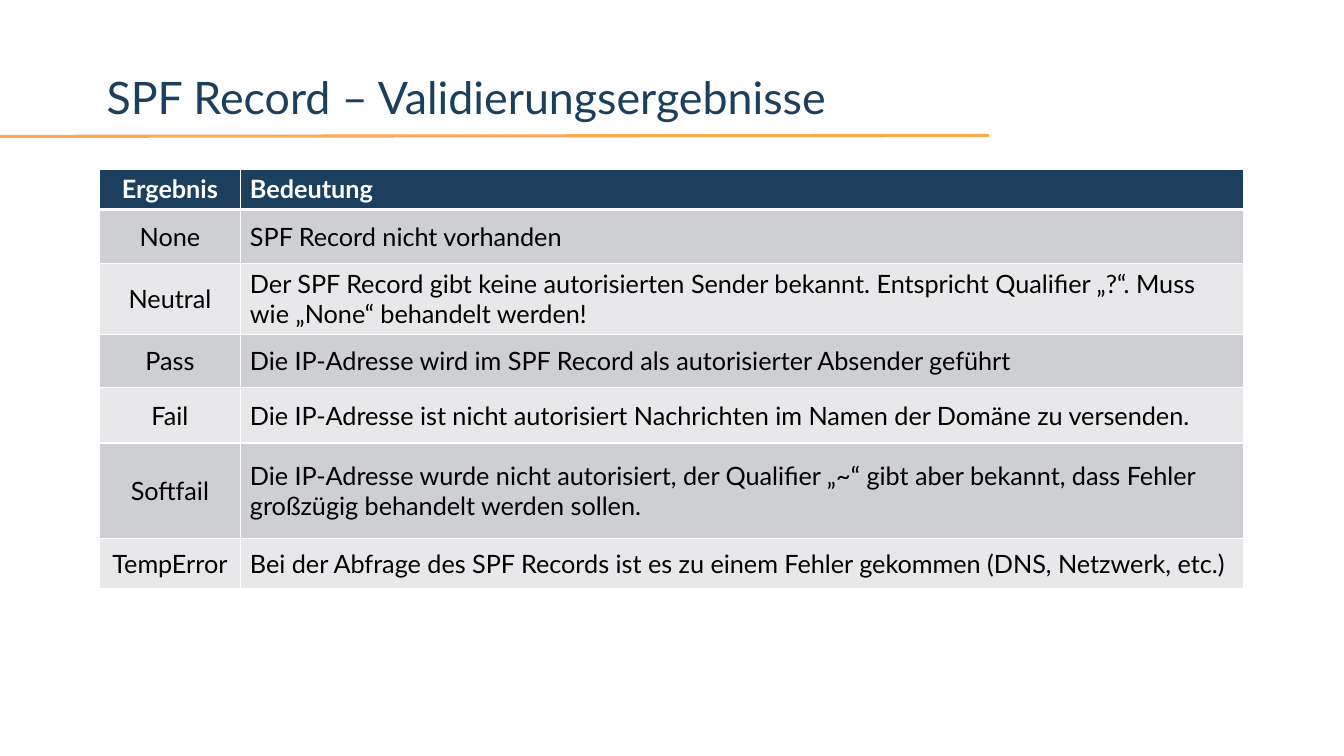
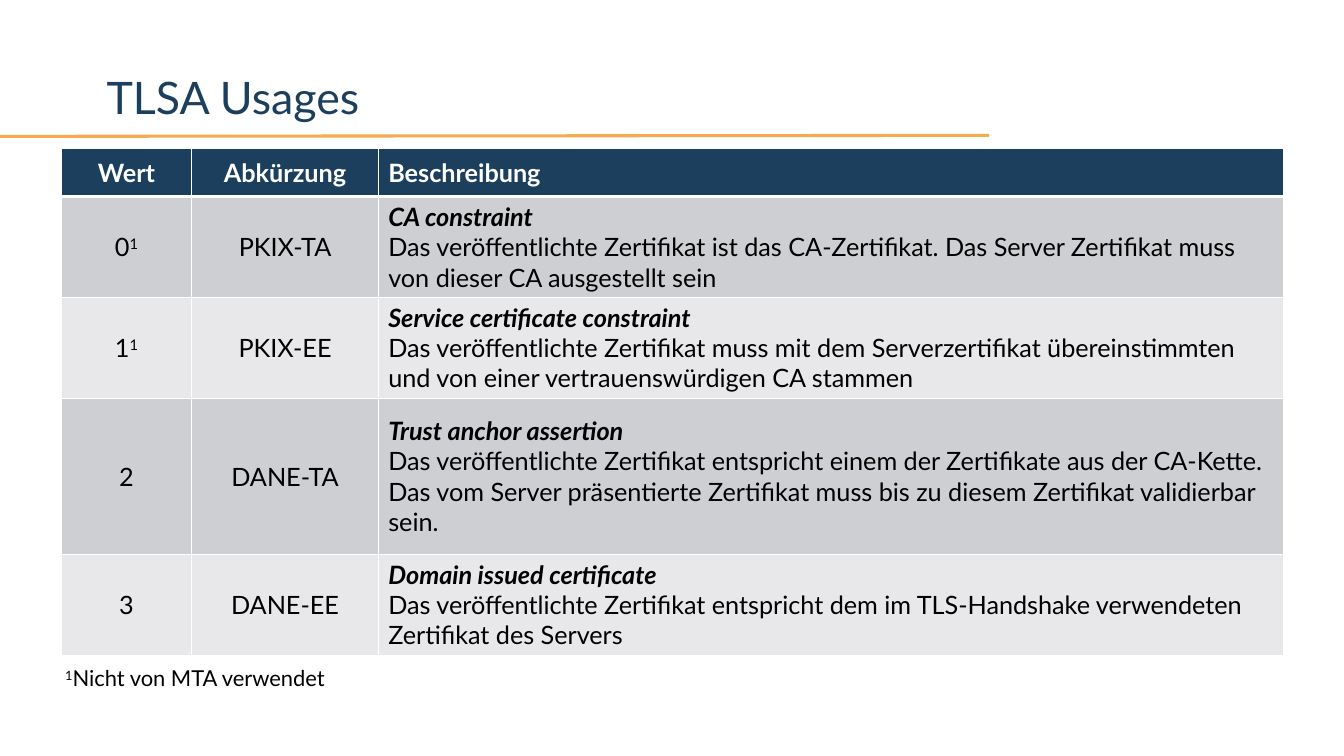
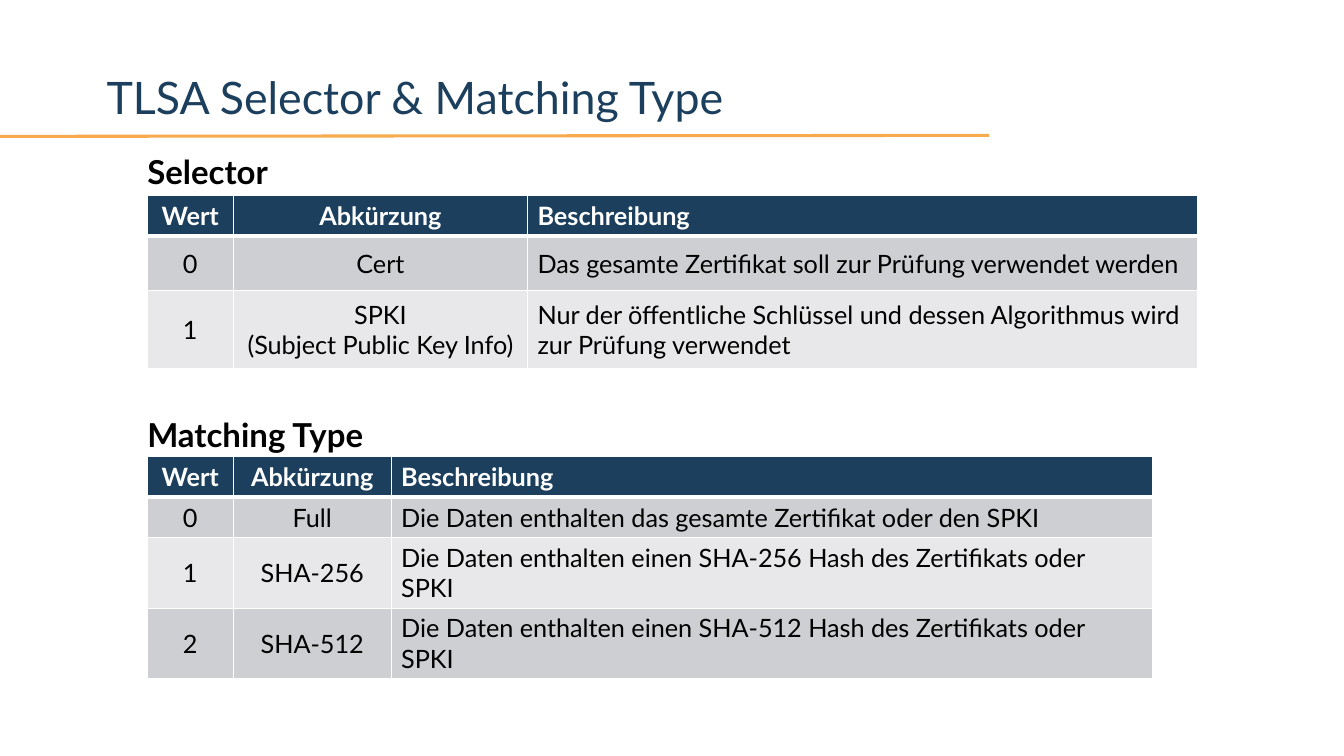
"""Build three slides on SPF results and TLSA record fields."""
from lxml import etree
from pptx import Presentation
from pptx.dml.color import RGBColor
from pptx.enum.shapes import MSO_CONNECTOR
from pptx.enum.text import MSO_ANCHOR, PP_ALIGN
from pptx.oxml.ns import qn
from pptx.util import Inches, Pt

STRAIGHT = MSO_CONNECTOR.STRAIGHT
MIDDLE, TOP = MSO_ANCHOR.MIDDLE, MSO_ANCHOR.TOP
LEFT, CENTER = PP_ALIGN.LEFT, PP_ALIGN.CENTER
FONT = "Lato"
COLORS = {
    "navy": "1B3F5D",
    "orange": "F7AA4E",
    "dark_band": "CDCFD2",
    "light_band": "E8E8EA",
    "white": "FFFFFF",
    "black": "000000",
}
TABLE_SIZE = 18.4
THIN, THICK = 1, 3

SLIDES = [
    {
        "title": "SPF Record – Validierungsergebnisse",
        "tables": [
            {
                "at": (1.01, 1.71),
                "widths": [1.42, 10.15],
                "heights": [0.41, 0.55, 0.71, 0.54, 0.56, 0.97, 0.5],
                "rows": [
                    ["Ergebnis", "Bedeutung"],
                    ["None", "SPF Record nicht vorhanden"],
                    ["Neutral", "Der SPF Record gibt keine autorisierten Sender bekannt. "
                     "Entspricht Qualifier „?“. Muss wie „None“ behandelt werden!"],
                    ["Pass", "Die IP-Adresse wird im SPF Record als autorisierter Absender geführt"],
                    ["Fail", "Die IP-Adresse ist nicht autorisiert Nachrichten im Namen der "
                     "Domäne zu versenden."],
                    ["Softfail", "Die IP-Adresse wurde nicht autorisiert, der Qualifier „~“ gibt "
                     "aber bekannt, dass Fehler großzügig behandelt werden sollen."],
                    ["TempError", "Bei der Abfrage des SPF Records ist es zu einem Fehler gekommen "
                     "(DNS, Netzwerk, etc.)"],
                ],
            },
        ],
        "labels": [],
    },
    {
        "title": "TLSA Usages",
        "tables": [
            {
                "at": (0.62, 1.5),
                "widths": [1.32, 1.89, 9.16],
                "heights": [0.49, 1.01, 1.01, 1.58, 1.01],
                "rows": [
                    ["Wert", "Abkürzung", "Beschreibung"],
                    ["0^1", "PKIX-TA", "*CA constraint\nDas veröffentlichte Zertifikat ist das "
                     "CA-Zertifikat. Das Server Zertifikat muss von dieser CA ausgestellt sein"],
                    ["1^1", "PKIX-EE", "*Service certificate constraint\nDas veröffentlichte "
                     "Zertifikat muss mit dem Serverzertifikat übereinstimmten und von einer "
                     "vertrauenswürdigen CA stammen"],
                    ["2", "DANE-TA", "*Trust anchor assertion\nDas veröffentlichte Zertifikat "
                     "entspricht einem der Zertifikate aus der CA-Kette.\nDas vom Server "
                     "präsentierte Zertifikat muss bis zu diesem Zertifikat validierbar sein."],
                    ["3", "DANE-EE", "*Domain issued certificate\nDas veröffentlichte Zertifikat "
                     "entspricht dem im TLS-Handshake verwendeten Zertifikat des Servers"],
                ],
            },
        ],
        "labels": [("^1^Nicht von MTA verwendet", (0.66, 6.73, 2.71, 0.27), 16, False)],
    },
    {
        "title": "TLSA Selector & Matching Type",
        "tables": [
            {
                "at": (1.49, 1.98),
                "widths": [0.87, 2.98, 6.78],
                "heights": [0.41, 0.55, 0.79],
                "rows": [
                    ["Wert", "Abkürzung", "Beschreibung"],
                    ["0", "Cert", "Das gesamte Zertifikat soll zur Prüfung verwendet werden"],
                    ["1", "SPKI\n(Subject Public Key Info)", "Nur der öffentliche Schlüssel und "
                     "dessen Algorithmus wird zur Prüfung verwendet"],
                ],
            },
            {
                "at": (1.49, 4.62),
                "widths": [0.87, 1.6, 7.7],
                "heights": [0.41, 0.41, 0.71, 0.71],
                "rows": [
                    ["Wert", "Abkürzung", "Beschreibung"],
                    ["0", "Full", "Die Daten enthalten das gesamte Zertifikat oder den SPKI"],
                    ["1", "SHA-256", "Die Daten enthalten einen SHA-256 Hash des Zertifikats oder SPKI"],
                    ["2", "SHA-512", "Die Daten enthalten einen SHA-512 Hash des Zertifikats oder SPKI"],
                ],
            },
        ],
        "labels": [
            ("Selector", (1.49, 1.53, 1.32, 0.4), 24, True),
            ("Matching Type", (1.49, 4.19, 2.38, 0.4), 24, True),
        ],
    },
]


def write(frame, text, size, color, bold=False, align=LEFT):
    """Fill a frame; a leading * marks a bold italic line, ^ toggles superscript."""
    frame.text = "\n".join([""] * (text.count("\n") + 1))
    for paragraph, line in zip(frame.paragraphs, text.split("\n")):
        paragraph.alignment = align
        emphasis = line.startswith("*")
        for index, part in enumerate(line.lstrip("*").split("^")):
            if not part:
                continue
            run = paragraph.add_run()
            run.text = part
            run.font.name = FONT
            run.font.size = Pt(size)
            run.font.bold = bold or emphasis
            run.font.italic = emphasis
            run.font.color.rgb = RGBColor.from_string(COLORS[color])
            if index % 2:
                run.font._element.set("baseline", "30000")


def set_borders(cell, widths):
    """Draw white cell borders, given as widths in points by side."""
    properties = cell._tc.get_or_add_tcPr()
    for position, (side, width) in enumerate(widths.items()):
        border = etree.Element(qn(f"a:ln{side}"), w=str(Pt(width)))
        fill = etree.SubElement(border, qn("a:solidFill"))
        etree.SubElement(fill, qn("a:srgbClr"), val=COLORS["white"])
        properties.insert(position, border)


prs = Presentation()
prs.slide_width, prs.slide_height = Inches(13.6), Inches(7.65)
blank = prs.slide_layouts[6]

for content in SLIDES:
    slide = prs.slides.add_slide(blank)

    underline = slide.shapes.add_connector(
        STRAIGHT, Inches(-0.04), Inches(1.38), Inches(10.01), Inches(1.37))
    underline.line.color.rgb = RGBColor.from_string(COLORS["orange"])
    underline.line.width = Pt(2.25)
    etree.SubElement(underline._element.spPr, qn("a:effectLst"))

    title = slide.shapes.add_textbox(Inches(0.98), Inches(0.65), Inches(9.04), Inches(0.72)).text_frame
    title.word_wrap = True
    title.vertical_anchor = MIDDLE
    write(title, content["title"], 32.6, "navy")
    title.paragraphs[0].line_spacing = 0.9

    for part in content["tables"]:
        rows, widths, heights = part["rows"], part["widths"], part["heights"]
        left, top = part["at"]
        table = slide.shapes.add_table(
            len(rows), len(widths), Inches(left), Inches(top),
            Inches(sum(widths)), Inches(sum(heights))).table
        for column, width in zip(table.columns, widths):
            column.width = Inches(width)
        for r, (values, height) in enumerate(zip(rows, heights)):
            table.rows[r].height = Inches(height)
            band = "navy" if r == 0 else "dark_band" if r % 2 else "light_band"
            for c, value in enumerate(values):
                cell = table.cell(r, c)
                cell.vertical_anchor = MIDDLE
                cell.fill.solid()
                cell.fill.fore_color.rgb = RGBColor.from_string(COLORS[band])
                write(cell.text_frame, value, TABLE_SIZE, "black" if r else "white",
                      bold=r == 0, align=LEFT if c == len(values) - 1 else CENTER)
                set_borders(cell, {"L": THIN, "R": THIN,
                                   "T": THICK if r == 1 else THIN,
                                   "B": THICK if r == 0 else THIN})

    for text, box, size, bold in content["labels"]:
        label = slide.shapes.add_textbox(*map(Inches, box)).text_frame
        label.margin_left = label.margin_right = label.margin_top = label.margin_bottom = 0
        label.word_wrap = True
        label.vertical_anchor = TOP
        write(label, text, size, "black", bold)

prs.save("out.pptx")
